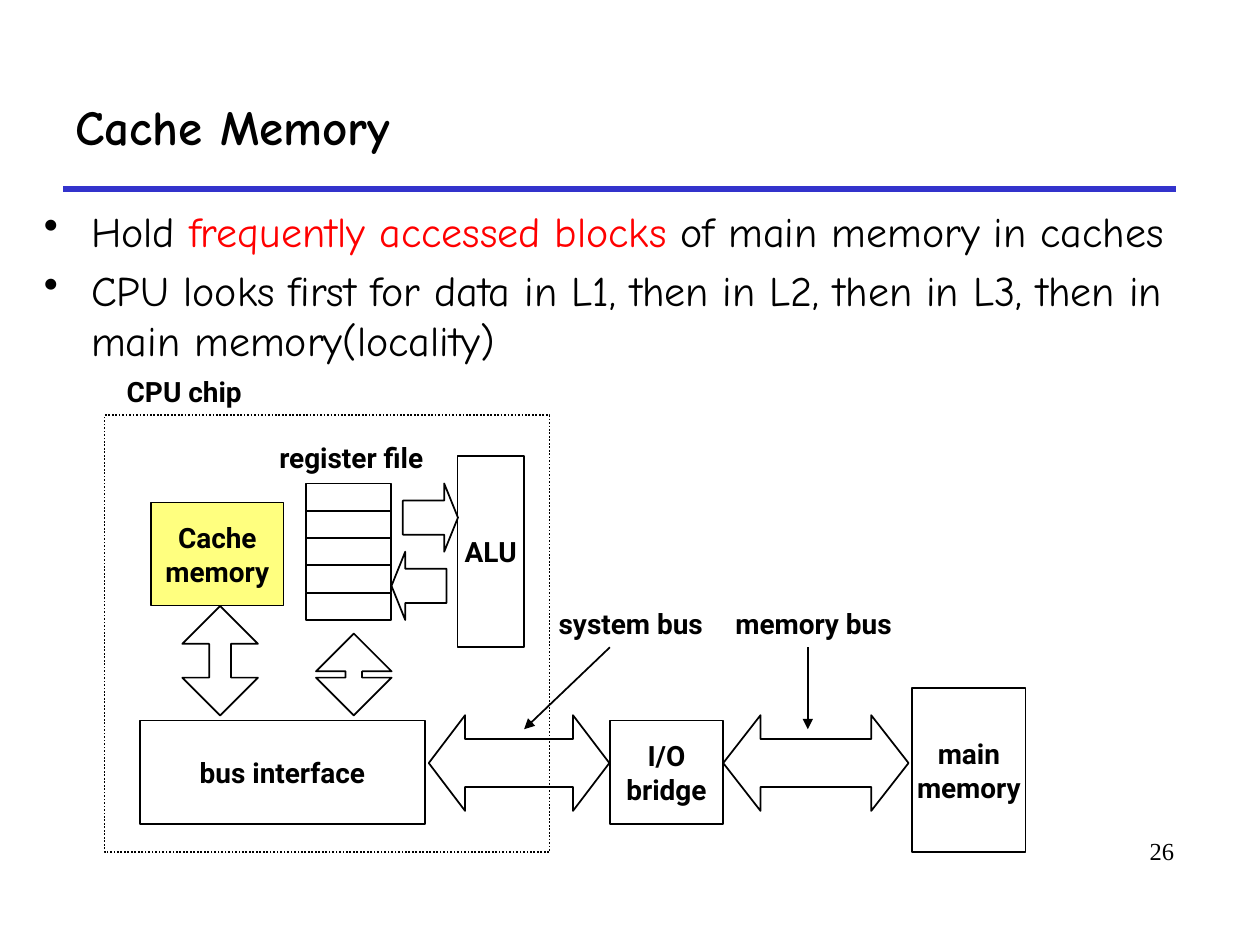
from dataclasses import dataclass

from lxml import etree
from pptx import Presentation
from pptx import util as u
from pptx.dml.color import RGBColor
from pptx.enum import dml, shapes, text
from pptx.oxml.ns import qn

BLACK, RED, BLUE, YELLOW = "000000", "FF0000", "3333CC", "FFFF00"
HEADING_FONT, LABEL_FONT, NUMBER_FONT = "Comic Neue", "Roboto", "Times New Roman"
SHAPE = shapes.MSO_SHAPE
ALIGN = text.PP_ALIGN


@dataclass
class Block:
    left: float
    top: float
    width: float
    height: float
    lines: tuple = ()
    fill: str = ""
    dotted: bool = False


@dataclass
class Arrow:
    kind: shapes.MSO_SHAPE
    left: float
    top: float
    width: float
    height: float
    head: float


@dataclass
class Label:
    wording: str
    left: float
    top: float
    width: float


@dataclass
class Line:
    start: tuple
    end: tuple
    color: str = BLACK
    weight: float = 1
    arrowhead: bool = False


def rgb(color: str) -> RGBColor:
    return RGBColor.from_string(color)


def set_font(font, name: str, size: float, bold: bool = False, color: str = BLACK) -> None:
    font.name, font.size, font.bold = name, u.Pt(size), bold
    font.color.rgb = rgb(color)


def write_lines(frame, lines, name=LABEL_FONT, size=16, bold=True, align=ALIGN.CENTER) -> None:
    for index, wording in enumerate(lines):
        paragraph = frame.add_paragraph() if index else frame.paragraphs[0]
        paragraph.text = wording
        paragraph.alignment = align
        set_font(paragraph.font, name, size, bold)


def add_outline(slide, kind, left, top, width, height):
    shape = slide.shapes.add_shape(kind, u.Pt(left), u.Pt(top), u.Pt(width), u.Pt(height))
    shape.shadow.inherit = False
    shape.fill.background()
    shape.line.color.rgb = rgb(BLACK)
    shape.line.width = u.Pt(1)
    return shape


def add_block(slide, block: Block) -> None:
    shape = add_outline(slide, SHAPE.RECTANGLE, block.left, block.top, block.width, block.height)
    if block.fill:
        shape.fill.solid()
        shape.fill.fore_color.rgb = rgb(block.fill)
        color = shape.fill._xPr.find(".//" + qn("a:srgbClr"))
        etree.SubElement(color, qn("a:alpha"), val="50000")
    if block.dotted:
        shape.line.dash_style = dml.MSO_LINE.ROUND_DOT
    if block.lines:
        shape.text_frame.word_wrap = False
        shape.text_frame.vertical_anchor = text.MSO_ANCHOR.MIDDLE
        write_lines(shape.text_frame, block.lines)


def add_arrow(slide, arrow: Arrow) -> None:
    shape = add_outline(slide, arrow.kind, arrow.left, arrow.top, arrow.width, arrow.height)
    shape.adjustments[0] = 0.5
    shape.adjustments[1] = arrow.head


def add_text_box(slide, left, top, width, height):
    return slide.shapes.add_textbox(u.Pt(left), u.Pt(top), u.Pt(width), u.Pt(height)).text_frame


def add_label(slide, label: Label) -> None:
    frame = add_text_box(slide, label.left, label.top, label.width, 26.6)
    frame.word_wrap = False
    frame.vertical_anchor = text.MSO_ANCHOR.MIDDLE
    write_lines(frame, [label.wording])


def add_line(slide, line: Line) -> None:
    points = [u.Pt(value) for value in (*line.start, *line.end)]
    connector = slide.shapes.add_connector(shapes.MSO_CONNECTOR.STRAIGHT, *points)
    connector.line.color.rgb = rgb(line.color)
    connector.line.width = u.Pt(line.weight)
    if line.arrowhead:
        etree.SubElement(connector.line._get_or_add_ln(), qn("a:tailEnd"), type="triangle")
    etree.SubElement(connector._element.spPr, qn("a:effectLst"))


def add_bullets(slide, items) -> None:
    frame = add_text_box(slide, 18, 113.8, 702, 118)
    frame.word_wrap = True
    for index, runs in enumerate(items):
        paragraph = frame.add_paragraph() if index else frame.paragraphs[0]
        paragraph.space_before = u.Pt(4.8 if index else 0)
        properties = paragraph._p.get_or_add_pPr()
        properties.set("marL", str(u.Pt(27)))
        properties.set("indent", str(-u.Pt(27)))
        etree.SubElement(properties, qn("a:buChar"), char="•")
        set_font(paragraph.font, HEADING_FONT, 24)
        for wording, color in runs:
            run = paragraph.add_run()
            run.text = wording
            run.font.color.rgb = rgb(color)


BULLETS = [
    [("Hold ", BLACK), ("frequently accessed blocks", RED),
     (" of main memory in caches", BLACK)],
    [("CPU looks first for data in L1, then in L2, then in L3, "
      "then in main memory(locality)", BLACK)],
]
REGISTERS = [Block(175, 276.3 + 15.6 * row, 48.5, 15.6) for row in range(5)]
BLOCKS = [
    Block(521.3, 393.1, 64.8, 93.8, ("main", "memory")),
    Block(348.5, 411.8, 64.8, 59, ("I/O", "bridge")),
    Block(79.9, 411.8, 163, 59, ("bus interface",)),
    *REGISTERS,
    Block(261.4, 260.6, 38, 109.2, ("ALU",)),
    Block(59.8, 237.3, 254.2, 249.8, dotted=True),
    Block(86.4, 287.1, 75.6, 59, ("Cache", "memory"), fill=YELLOW),
]
ARROWS = [
    Arrow(SHAPE.LEFT_RIGHT_ARROW, 413.3, 408.7, 105.9, 54.7, 0.39),
    Arrow(SHAPE.LEFT_RIGHT_ARROW, 245, 408.7, 103.2, 54.7, 0.38),
    Arrow(SHAPE.RIGHT_ARROW, 230.2, 276.3, 31.5, 39, 0.25),
    Arrow(SHAPE.LEFT_ARROW, 223.7, 315.3, 31.5, 39, 0.25),
    Arrow(SHAPE.UP_DOWN_ARROW, 180.6, 362, 43.2, 46.8, 0.22),
    Arrow(SHAPE.UP_DOWN_ARROW, 104.2, 346.3, 43.2, 62.5, 0.29),
]
LABELS = [
    Label("register file", 150.2, 247.9, 101),
    Label("CPU chip", 62.3, 210.3, 86),
    Label("system bus", 309.3, 342.9, 102.3),
    Label("memory bus", 410, 342.9, 109.8),
]
LINES = [
    Line((36, 108), (672, 108), BLUE, 3),
    Line((348.5, 369.9), (299.5, 416.7), arrowhead=True),
    Line((461.6, 369.9), (461.6, 416.7), arrowhead=True),
]


def main() -> None:
    presentation = Presentation()
    presentation.slide_width, presentation.slide_height = u.Pt(720), u.Pt(540)
    slide = presentation.slides.add_slide(presentation.slide_layouts[5])

    # Title
    title = slide.shapes.title
    title.left, title.top, title.width, title.height = map(u.Pt, (36, 36, 636, 72))
    title.text_frame.auto_size = text.MSO_AUTO_SIZE.NONE
    title.text_frame.vertical_anchor = text.MSO_ANCHOR.MIDDLE
    write_lines(title.text_frame, ["Cache Memory"], HEADING_FONT, 28, True, ALIGN.LEFT)

    # Diagram
    for block in BLOCKS:
        add_block(slide, block)
    for arrow in ARROWS:
        add_arrow(slide, arrow)
    for label in LABELS:
        add_label(slide, label)
    for line in LINES:
        add_line(slide, line)

    # Bullets and slide number
    add_bullets(slide, BULLETS)
    number = add_text_box(slide, 576, 474, 102, 36)
    number.word_wrap = True
    write_lines(number, ["26"], NUMBER_FONT, 14, False, ALIGN.RIGHT)

    presentation.save("out.pptx")


if __name__ == "__main__":
    main()
